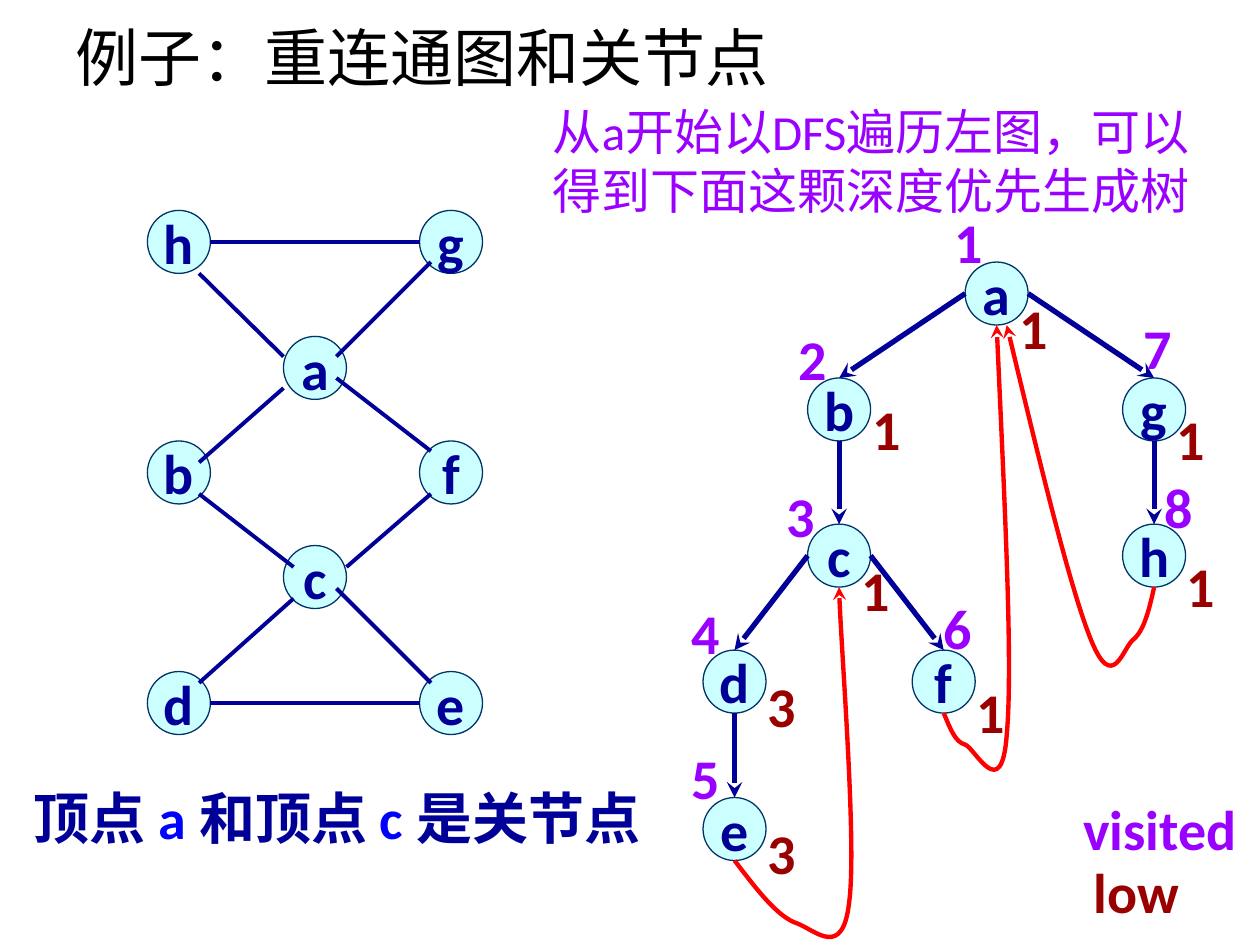
import pptx
import pptx.dml.color
import pptx.enum.shapes
import pptx.enum.text
import pptx.oxml.ns
import pptx.util
from lxml import etree

Inches = pptx.util.Inches
qn = pptx.oxml.ns.qn

NAVY, BLUE, PURPLE, MAROON = "000099", "0000FF", "9900FF", "990000"
RED, PALE, OUTLINE = "FF0000", "CCFFFF", "003366"
NODE = 0.5


def color(value):
    return pptx.dml.color.RGBColor.from_string(value)


def add_text(para, text, size=32, fill=NAVY, bold=True, font="Calibri"):
    span = para.add_run()
    span.text = text
    span.font.size = pptx.util.Pt(size)
    span.font.name = font
    span.font.bold = bold
    span.font.color.rgb = color(fill)


class Diagram:
    """Holds the current page and the look of its elements."""

    def __init__(self, page):
        self.page = page
        self.shapes = page.shapes

    def stroke(self, shape, fill, width, arrow=None):
        shape.line.color.rgb = color(fill)
        shape.line.width = pptx.util.Pt(width)
        if arrow:
            line = shape.line._get_or_add_ln()
            etree.SubElement(line, qn(f"a:{arrow}"), type="stealth")

    def title(self, text, left, top, width, height):
        box = self.shapes.title
        box.left, box.top = Inches(left), Inches(top)
        box.width, box.height = Inches(width), Inches(height)
        box.text_frame.vertical_anchor = pptx.enum.text.MSO_ANCHOR.MIDDLE
        para = box.text_frame.paragraphs[0]
        para.alignment = pptx.enum.text.PP_ALIGN.LEFT
        add_text(para, text, size=36, fill="000000", bold=False)

    def label(self, spans, left, top, width=0.42, height=0.63, wrap=False, **style):
        """Each span is a text with its colour."""
        box = self.shapes.add_textbox(*map(Inches, (left, top, width, height)))
        box.text_frame.word_wrap = wrap
        box.text_frame.auto_size = pptx.enum.text.MSO_AUTO_SIZE.SHAPE_TO_FIT_TEXT
        for text, fill in spans:
            add_text(box.text_frame.paragraphs[0], text, fill=fill, **style)

    def node(self, name, left, top):
        oval = self.shapes.add_shape(
            pptx.enum.shapes.MSO_SHAPE.OVAL,
            Inches(left), Inches(top), Inches(NODE), Inches(NODE))
        oval.shadow.inherit = False
        oval.fill.solid()
        oval.fill.fore_color.rgb = color(PALE)
        self.stroke(oval, OUTLINE, 0.75)
        frame = oval.text_frame
        frame.word_wrap = False
        frame.vertical_anchor = pptx.enum.text.MSO_ANCHOR.MIDDLE
        frame.paragraphs[0].alignment = pptx.enum.text.PP_ALIGN.CENTER
        add_text(frame.paragraphs[0], name)

    def edge(self, start, end, width=2.25, arrow=None):
        line = self.shapes.add_connector(
            pptx.enum.shapes.MSO_CONNECTOR.STRAIGHT, *map(Inches, start + end))
        self.stroke(line, NAVY, width, arrow)
        etree.SubElement(line._element.spPr, qn("a:effectLst"))

    def curve(self, points, arrow):
        """A start point, then three control points for each cubic segment."""
        (x, y), *rest = [tuple(map(Inches, point)) for point in points]
        builder = self.shapes.build_freeform(x, y)
        builder.add_line_segments(rest, close=False)
        shape = builder.convert_to_shape()
        shape.shadow.inherit = False
        shape.fill.background()
        # Merge each three straight segments into one Bezier segment
        segments = list(shape._element.iter(qn("a:lnTo")))
        for first, *others in zip(segments[::3], segments[1::3], segments[2::3]):
            first.tag = qn("a:cubicBezTo")
            for other in others:
                first.append(other[0])
                other.getparent().remove(other)
        self.stroke(shape, RED, 2.5, arrow)


GRAPH_NODES = {
    "a": (2.25, 2.67), "h": (1.17, 1.67), "g": (3.33, 1.67), "c": (2.25, 4.33),
    "b": (1.17, 3.5), "f": (3.33, 3.5), "d": (1.17, 5.33), "e": (3.33, 5.33),
}
GRAPH_EDGES = [
    ((1.67, 1.92), (3.33, 1.92)), ((1.67, 5.58), (3.33, 5.58)),
    ((1.58, 2.17), (2.25, 2.83)), ((3.42, 2.08), (2.67, 2.83)),
    ((2.25, 3.08), (1.58, 3.67)), ((1.58, 3.92), (2.33, 4.5)),
    ((2.67, 3), (3.42, 3.58)), ((3.42, 3.92), (2.75, 4.5)),
    ((2.33, 4.75), (1.58, 5.42)), ((2.67, 4.67), (3.42, 5.42)),
]
# Node: position, visited number and its place, low number and its place
TREE_NODES = {
    "a": ((7.66, 2.08), "1", (7.48, 1.6), "1", (7.99, 2.28)),
    "b": ((6.41, 3), "2", (6.24, 2.53), "1", (6.83, 3.08)),
    "c": ((6.41, 4.16), "3", (6.14, 3.77), "1", (6.74, 4.36)),
    "d": ((5.58, 5.16), "4", (5.39, 4.7), "3", (5.99, 5.28)),
    "e": ((5.58, 6.33), "5", (5.39, 5.85), "3", (5.99, 6.45)),
    "f": ((7.24, 5.16), "6", (7.39, 4.66), "1", (7.65, 5.33)),
    "g": ((8.91, 3), "7", (8.98, 2.44), "1", (9.24, 3.16)),
    "h": ((8.91, 4.16), "8", (9.14, 3.7), "1", (9.32, 4.33)),
}
TREE_EDGES = ["ab", "bc", "cd", "cf", "de", "ag", "gh"]
BACK_EDGES = [
    ([(7.49, 5.66), (7.54, 5.78), (7.58, 5.89), (7.66, 5.91), (7.74, 5.94),
      (7.95, 6.39), (7.99, 5.83), (8.04, 5.28), (7.97, 3.93), (7.91, 2.58)],
     "tailEnd"),
    ([(7.99, 2.58), (8.24, 3.62), (8.49, 4.66), (8.66, 5.08), (8.83, 5.5),
      (8.91, 5.15), (8.99, 5.08), (9.08, 5.01), (9.12, 4.84), (9.16, 4.66)],
     "headEnd"),
    ([(5.83, 6.83), (6, 7.05), (6.17, 7.28), (6.33, 7.33), (6.48, 7.39),
      (6.69, 7.61), (6.74, 7.16), (6.8, 6.72), (6.67, 5.08), (6.66, 4.66)],
     "tailEnd"),
]


def tree_edge(parent, child):
    """From the parent's near side, or its bottom, to the child's top."""
    (left, top), (child_left, child_top) = TREE_NODES[parent][0], TREE_NODES[child][0]
    if left == child_left:
        start = (left + NODE / 2, top + NODE)
    else:
        start = (left + NODE * (child_left > left), top + NODE / 2)
    return start, (child_left + NODE / 2, child_top)


def main():
    deck = pptx.Presentation()
    deck.slide_width, deck.slide_height = Inches(10), Inches(7.5)
    diagram = Diagram(deck.slides.add_slide(deck.slide_layouts[5]))
    diagram.title("例子：重连通图和关节点", 0.5, 0.05, 9, 0.79)

    # Graph on the left
    for name, place in GRAPH_NODES.items():
        diagram.node(name, *place)
    for start, end in GRAPH_EDGES:
        diagram.edge(start, end)

    # Depth-first spanning tree with its back edges
    for name, (place, *_) in TREE_NODES.items():
        diagram.node(name, *place)
    for parent, child in TREE_EDGES:
        diagram.edge(*tree_edge(parent, child), width=3, arrow="tailEnd")
    for points, arrow in BACK_EDGES:
        diagram.curve(points, arrow)

    # Visited and low numbers
    for _, visited, visited_place, low, low_place in TREE_NODES.values():
        diagram.label([(visited, PURPLE)], *visited_place)
        diagram.label([(low, MAROON)], *low_place)

    # Explanations and legend
    diagram.label([("顶点 ", NAVY), ("a ", BLUE), ("和顶点 ", NAVY),
                   ("c ", BLUE), ("是关节点", NAVY)], 0.17, 6.17, 5.1, wrap=True)
    diagram.label([("从a开始以DFS遍历左图，可以得到下面这颗深度优先生成树", PURPLE)],
                  4.29, 0.76, 5.51, 1.04, wrap=True, size=28, bold=False)
    diagram.label([("visited", PURPLE)], 8.5, 6.26, 1.43, 0.64)
    diagram.label([("low", MAROON)], 8.58, 6.76, 0.89, 0.64)

    deck.save("out.pptx")


if __name__ == "__main__":
    main()
